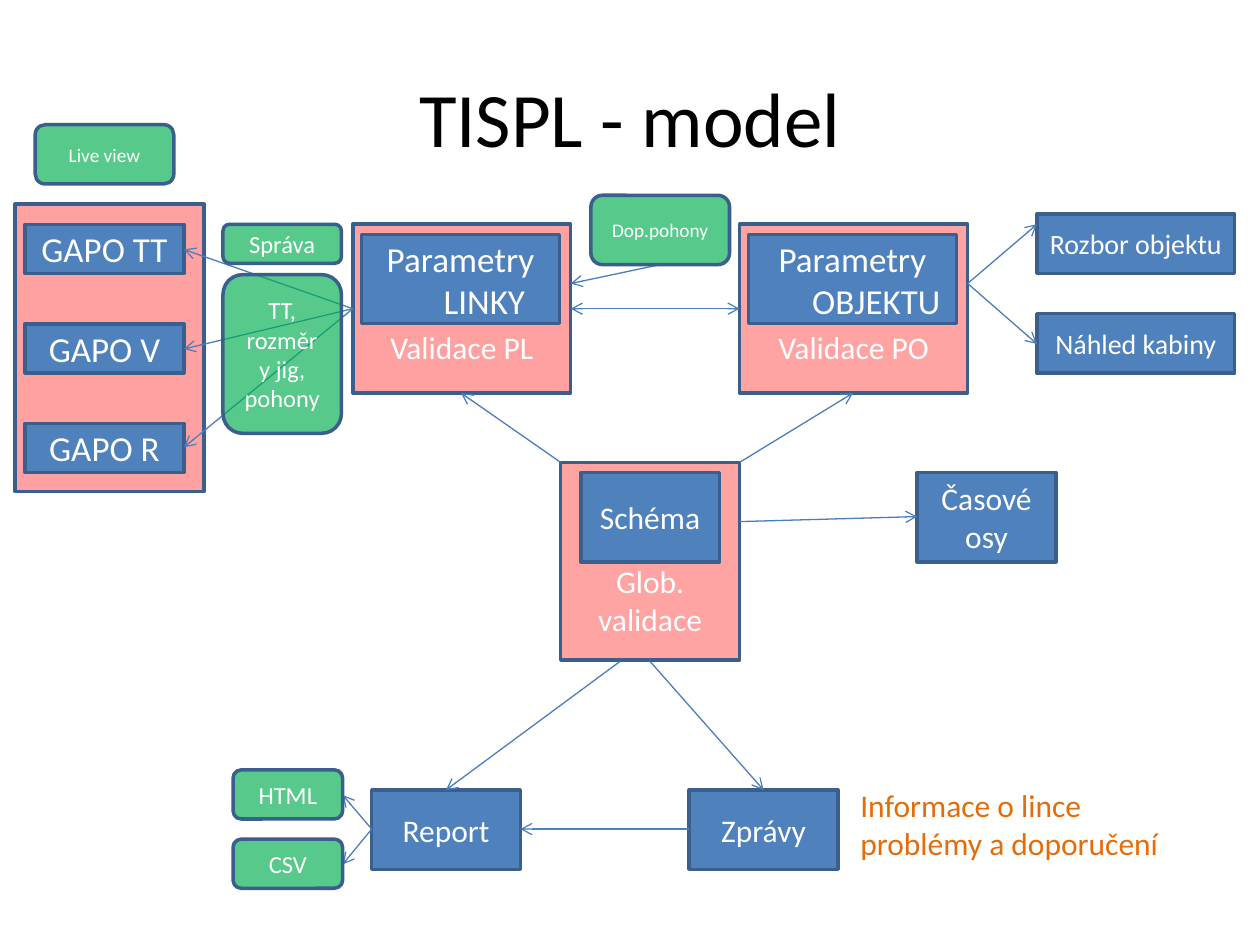
from lxml.etree import SubElement
from pptx import Presentation
from pptx.dml.color import RGBColor
from pptx.enum.shapes import MSO_CONNECTOR as CONN, MSO_SHAPE as SHAPE
from pptx.enum.text import MSO_ANCHOR as ANCHOR, PP_ALIGN as ALIGN
from pptx.oxml.ns import qn
from pptx.util import Inches, Pt

COLORS = {"box": "4F81BD", "edge": "3A5F8C", "arrow": "4B7EBC", "group": "FF0000",
          "output": "00B050", "white": "FFFFFF", "black": "000000", "note": "E46C0A"}


class Diagram:
    """Style of the model diagram and the slide it is drawn on."""

    font = "Calibri"

    def __init__(self, slide):
        """Keep the slide to draw on."""
        self.shapes = slide.shapes

    def color(self, name):
        """Return a named colour."""
        return RGBColor.from_string(COLORS[name])

    def add_text(self, sp, text, size, color="white", align=ALIGN.CENTER,
                 anchor=ANCHOR.MIDDLE, top=0.05, hanging=False):
        """Put one formatted paragraph into a shape."""
        tf = sp.text_frame
        frame = {"word_wrap": True, "vertical_anchor": anchor, "margin_top": Inches(top)}
        for name, value in frame.items():
            setattr(tf, name, value)
        p = tf.paragraphs[0]
        p.alignment = align
        if hanging:
            p.space_before = Pt(size * 0.2)
            pPr = p._p.get_or_add_pPr()
            pPr.set("marL", str(Inches(0.38)))
            pPr.set("indent", str(-Inches(0.38)))
        r = p.add_run()
        r.text = text
        for name, value in {"name": self.font, "size": Pt(size)}.items():
            setattr(r.font, name, value)
        r.font.color.rgb = self.color(color)

    def block(self, at, text="", size=18, fill="box", kind=SHAPE.RECTANGLE,
              alpha=None, **style):
        """Draw an outlined block, see-through if alpha is given in percent."""
        sp = self.shapes.add_shape(kind, *map(Inches, at))
        sp.shadow.inherit = False
        sp.fill.solid()
        sp.fill.fore_color.rgb = self.color(fill)
        if alpha:
            clr = sp._element.spPr.find(qn("a:solidFill"))[0]
            SubElement(clr, qn("a:alpha")).set("val", str(alpha * 1000))
        sp.line.color.rgb = self.color("edge")
        sp.line.width = Pt(2)
        if text:
            self.add_text(sp, text, size, **style)

    def group(self, at, text="", alpha=37):
        """Draw a red group area with its caption below the inner box."""
        self.block(at, text, fill="group", alpha=alpha, top=0.66)

    def output(self, at, text, size=14):
        """Draw a rounded green block."""
        self.block(at, text, size, "output", SHAPE.ROUNDED_RECTANGLE, 66)

    def label(self, at, text, size, **style):
        """Add a plain text box."""
        self.add_text(self.shapes.add_textbox(*map(Inches, at)), text, size, **style)

    def arrow(self, start, end, ends=("tailEnd",)):
        """Draw a thin arrow from start to end."""
        cn = self.shapes.add_connector(CONN.STRAIGHT, *map(Inches, start + end))
        cn.line.color.rgb = self.color("arrow")
        cn.line.width = Pt(0.75)
        spPr = cn._element.spPr
        ln = spPr.find(qn("a:ln"))
        for name in ends:
            SubElement(ln, qn("a:" + name)).set("type", "arrow")
        SubElement(spPr, qn("a:effectLst"))


prs = Presentation()
prs.slide_width, prs.slide_height = Inches(10), Inches(7.5)
d = Diagram(prs.slides.add_slide(prs.slide_layouts[6]))

d.group((0.12, 1.62, 1.5, 2.28))
d.group((4.45, 3.67, 1.42, 1.57), "Glob. validace", 36)
d.group((2.8, 1.78, 1.73, 1.34), "Validace PL")
d.group((5.87, 1.78, 1.81, 1.34), "Validace PO", 36)
d.label((0.5, 0.3, 9, 1.25), "TISPL - model", 44, color="black")

for left, text in ((4.61, "Schéma"), (7.28, "Časové osy")):
    d.block((left, 3.75, 1.1, 0.71), text)
for left, width, text in ((5.94, 1.65, "Parametry OBJEKTU"), (2.87, 1.57, "Parametry LINKY")):
    d.block((left, 1.86, width, 0.71), text, 20, hanging=True)
for i, text in enumerate(("GAPO TT", "GAPO V", "GAPO R")):
    d.block((0.2, 1.78 + 0.79 * i, 1.26, 0.39), text, 20, hanging=True)
for i, text in enumerate(("Rozbor objektu", "Náhled kabiny")):
    d.block((8.23, 1.7 + 0.79 * i, 1.57, 0.47), text, 16, hanging=True)
for left, text in ((2.95, "Report"), (5.47, "Zprávy")):
    d.block((left, 6.27, 1.18, 0.63), text)

line_params, object_params, report = (2.8, 2.45), (7.68, 2.25), (2.95, 6.58)
d.arrow((4.53, 2.45), (5.87, 2.45), ("headEnd", "tailEnd"))
for start, end in (
    ((4.45, 3.67), (3.66, 3.12)),
    ((5.87, 3.67), (6.77, 3.12)),
    (line_params, (1.46, 1.98)),
    (line_params, (1.46, 2.77)),
    (line_params, (1.46, 3.55)),
    (object_params, (8.23, 1.78)),
    (object_params, (8.23, 2.73)),
    ((4.92, 5.25), (3.54, 6.27)),
    ((5.16, 5.25), (6.06, 6.27)),
    ((5.87, 4.14), (7.28, 4.1)),
    ((5.47, 6.58), (4.13, 6.58)),
    (report, (2.72, 6.31)),
    (report, (2.72, 6.86)),
    ((5.24, 2.1), (4.53, 2.25)),
):
    d.arrow(start, end)

d.label((6.73, 6.19, 2.91, 0.71), "Informace o lince problémy a doporučení", 18,
        color="note", align=ALIGN.LEFT, anchor=ANCHOR.TOP)
for i, text in enumerate(("HTML", "CSV")):
    d.output((1.85, 6.11 + 0.55 * i, 0.87, 0.39), text)
d.output((4.69, 1.55, 1.1, 0.55), "Dop.pohony", 11)
d.output((0.28, 0.99, 1.1, 0.47), "Live view", 11)
d.output((1.77, 1.78, 0.94, 0.31), "Správa")
d.output((1.77, 2.18, 0.94, 1.26), "TT, rozměry jig, pohony")

prs.save("out.pptx")
